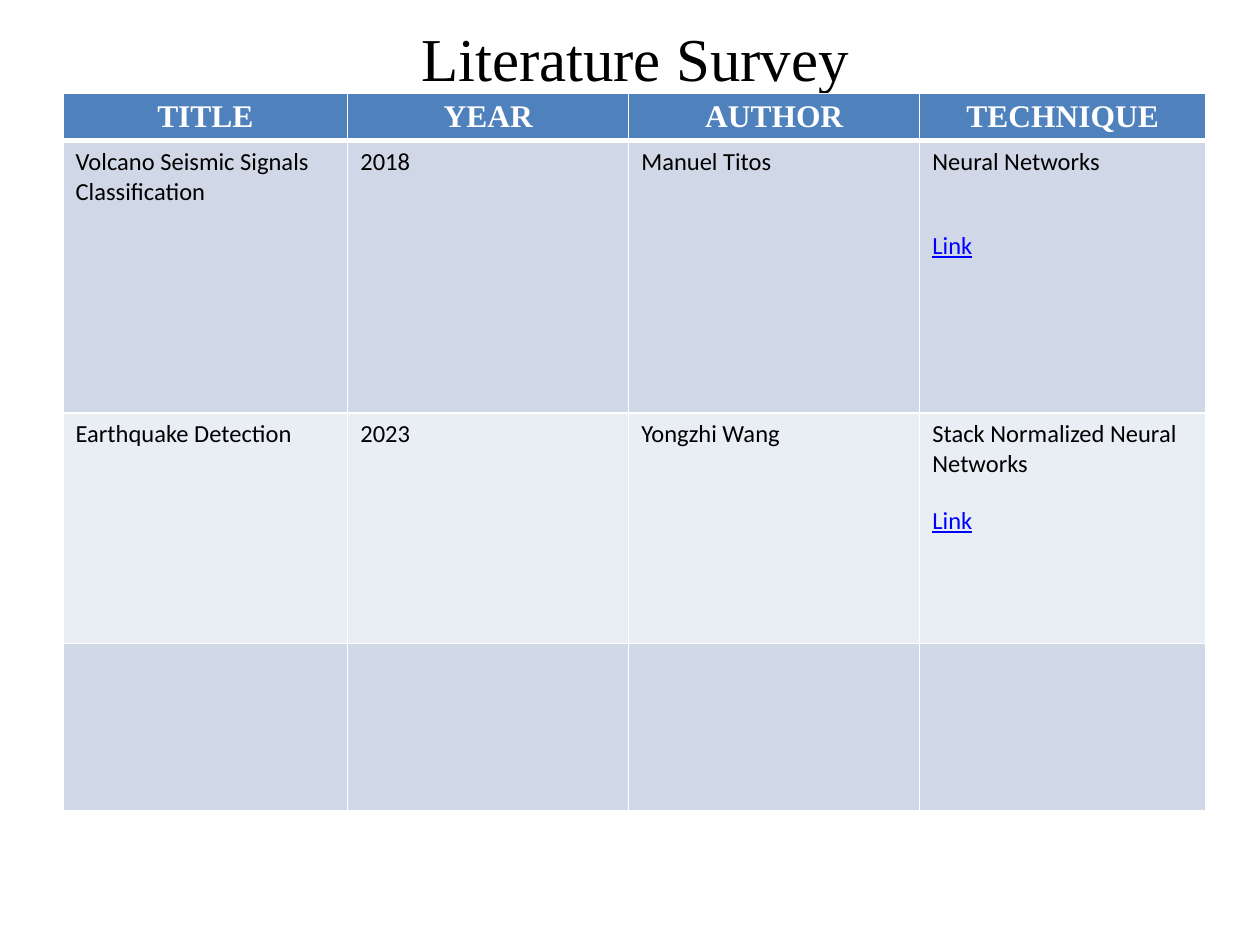
from lxml.etree import SubElement
from pptx import Presentation
from pptx.dml.color import RGBColor
from pptx.enum.text import MSO_ANCHOR, PP_ALIGN
from pptx.oxml.ns import qn
from pptx.util import Inches, Pt

SERIF, SANS = "Times New Roman", "Calibri"
WHITE, BLACK, BLUE, LINK = "FFFFFF", "000000", "4F81BD", "0000FF"
BANDS = ["D0D8E8", "E9EDF4"]
COLS = [2.26, 2.23, 2.31, 2.27]
ROWS = [0.36, 2.16, 1.83, 1.33]
HEADS = ["TITLE", "YEAR", "AUTHOR", "TECHNIQUE"]
STUDIES = [
    ["Volcano Seismic Signals Classification", "2018", "Manuel Titos",
     "Neural Networks"],
    ["Earthquake Detection", "2023", "Yongzhi Wang",
     "Stack Normalized Neural Networks"],
    [""] * 4,
]
LINK_GAPS = [31, 15.5]  # points above the link of each study


def color(code):
    return RGBColor.from_string(code)


def style(para, name, size, code, bold=False):
    font = para.font
    font.name, font.size, font.bold = name, Pt(size), bold
    font.color.rgb = color(code)


def set_edges(cell, low):
    props = cell._tc.get_or_add_tcPr()
    widths = {"a:lnL": 0.96, "a:lnR": 0.96, "a:lnT": 0.96, "a:lnB": low}
    for at, (tag, width) in enumerate(widths.items()):
        line = SubElement(props, qn(tag), w=str(Pt(width)))
        fill = SubElement(line, qn("a:solidFill"))
        SubElement(fill, qn("a:srgbClr"), val=WHITE)
        props.insert(at, line)  # edges come before the cell fill


def paint(cell, code, low=0.96):
    cell.fill.solid()
    cell.fill.fore_color.rgb = color(code)
    set_edges(cell, low)


def add_title(slide, x, y, w, h):
    title = slide.shapes.title
    title.left, title.top, title.width, title.height = map(Inches, (x, y, w, h))
    frame = title.text_frame
    frame.text = "Literature Survey"
    frame.vertical_anchor = MSO_ANCHOR.TOP
    frame.margin_top = Inches(0.08)
    para = frame.paragraphs[0]
    para.alignment = PP_ALIGN.CENTER
    style(para, SERIF, 34.8, BLACK)


def add_survey(slide, x, y, w, h):
    table = slide.shapes.add_table(
        len(ROWS), len(COLS), *map(Inches, (x, y, w, h))).table
    for col, width in zip(table.columns, COLS):
        col.width = Inches(width)
    for row, height in zip(table.rows, ROWS):
        row.height = Inches(height)

    # Header row
    for cell, head in zip(table.rows[0].cells, HEADS):
        cell.text = head
        para = cell.text_frame.paragraphs[0]
        para.alignment = PP_ALIGN.CENTER
        style(para, SERIF, 18, WHITE, bold=True)
        paint(cell, BLUE, low=3)

    # Banded study rows
    for r, study in enumerate(STUDIES):
        for c, text in enumerate(study):
            cell = table.cell(r + 1, c)
            cell.text = text
            style(cell.text_frame.paragraphs[0], SANS, 14, BLACK)
            paint(cell, BANDS[r % 2])

    # Links under the techniques
    for r, gap in enumerate(LINK_GAPS, 1):
        para = table.cell(r, 3).text_frame.add_paragraph()
        para.text = "Link"
        para.space_before = Pt(gap)
        style(para, SANS, 14, LINK)
        para.font.underline = True


def main():
    deck = Presentation()
    deck.slide_width, deck.slide_height = Inches(10), Inches(7.5)
    slide = deck.slides.add_slide(deck.slide_layouts[5])
    add_title(slide, 0.54, 0.08, 9, 1.25)
    add_survey(slide, 0.5, 0.74, sum(COLS), sum(ROWS))
    deck.save("out.pptx")


if __name__ == "__main__":
    main()
